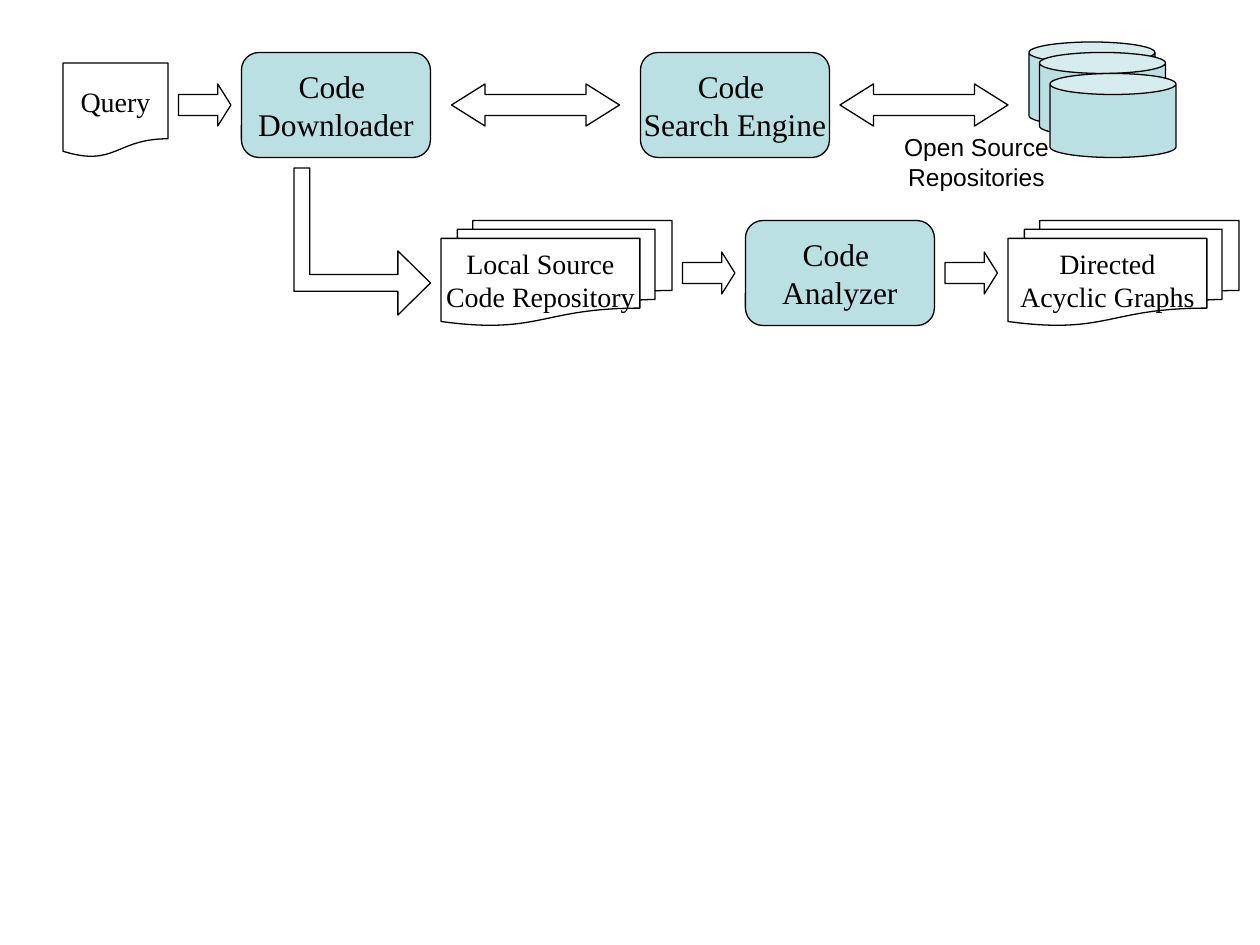
"""Draw the code search flow, from query to directed acyclic graphs."""
from dataclasses import dataclass

import pptx
import pptx.dml.color
import pptx.enum.shapes
import pptx.enum.text
import pptx.shapes.autoshape
import pptx.slide
import pptx.util

Kind = pptx.enum.shapes.MSO_SHAPE
Align = pptx.enum.text.PP_ALIGN
Anchor = pptx.enum.text.MSO_ANCHOR


@dataclass(frozen=True)
class Theme:
    teal: str = "BBE0E3"
    white: str = "FFFFFF"
    black: str = "000000"
    serif: str = "Times New Roman"
    sans: str = "Arial"
    large: int = 18
    mid: int = 16
    small: int = 14
    line: float = 0.75


@dataclass(frozen=True)
class Node:
    kind: Kind
    left: float
    top: float
    width: float
    height: float
    fill: str
    text: str = ""
    size: int = 0
    bend: tuple[float, ...] = ()


THEME = Theme()


def grid(count: float) -> pptx.util.Length:
    return pptx.util.Cm(2.54 / 12 * count)


def color(code: str) -> pptx.dml.color.RGBColor:
    return pptx.dml.color.RGBColor.from_string(code)


def paint(shape: pptx.shapes.autoshape.Shape, fill: str) -> None:
    shape.shadow.inherit = False
    shape.fill.solid()
    shape.fill.fore_color.rgb = color(fill)
    shape.line.color.rgb = color(THEME.black)
    shape.line.width = pptx.util.Pt(THEME.line)


def write(shape: pptx.shapes.autoshape.Shape, text: str, size: int,
          face: str, wrap: bool) -> None:
    frame = shape.text_frame
    frame.text = text
    frame.word_wrap = wrap
    for para in frame.paragraphs:
        para.alignment = Align.CENTER
        for run in para.runs:
            run.font.name = face
            run.font.size = pptx.util.Pt(size)
            run.font.color.rgb = color(THEME.black)


def draw(slide: pptx.slide.Slide, node: Node) -> None:
    shape = slide.shapes.add_shape(
        node.kind, grid(node.left), grid(node.top), grid(node.width), grid(node.height))
    for index, value in enumerate(node.bend):
        shape.adjustments[index] = value
    paint(shape, node.fill)
    if node.text:
        write(shape, node.text, node.size, THEME.serif, False)
        shape.text_frame.vertical_anchor = Anchor.MIDDLE


def label(slide: pptx.slide.Slide) -> None:
    box = slide.shapes.add_textbox(grid(80), grid(12), grid(26), grid(6.8))
    write(box, "Open Source Repositories", THEME.small, THEME.sans, True)


def elbow(slide: pptx.slide.Slide) -> None:
    start, *rest = [
        (29.5, 16), (29.5, 26.15), (37.9, 26.15), (37.9, 23.9), (41, 26.95),
        (37.9, 30), (37.9, 27.75), (28, 27.75), (28, 16)]
    pen = slide.shapes.build_freeform(*map(grid, start), scale=1.0)
    pen.add_line_segments([(grid(x), grid(y)) for x, y in rest], close=True)
    paint(pen.convert_to_shape(), THEME.white)


def step(left: float, top: float, text: str) -> Node:
    return Node(Kind.ROUNDED_RECTANGLE, left, top, 18, 10, THEME.teal,
                text, THEME.large, (0.167,))


def stack(left: float, text: str) -> Node:
    return Node(Kind.FLOWCHART_MULTIDOCUMENT, left, 21, 22, 10, THEME.white,
                text, THEME.mid)


def arrow(left: float, top: float) -> Node:
    return Node(Kind.RIGHT_ARROW, left, top, 5, 4, THEME.white, bend=(0.5, 0.313))


def swap(left: float) -> Node:
    return Node(Kind.LEFT_RIGHT_ARROW, left, 8, 16, 4, THEME.white, bend=(0.5, 0.796))


def can(left: float, top: float) -> Node:
    return Node(Kind.CAN, left, top, 12, 8, THEME.teal, bend=(0.25,))


def main() -> None:
    deck = pptx.Presentation()
    deck.slide_width, deck.slide_height = pptx.util.Cm(25.4), pptx.util.Cm(19.05)
    slide = deck.slides.add_slide(deck.slide_layouts[6])
    nodes = [
        Node(Kind.FLOWCHART_DOCUMENT, 6, 6, 10, 9, THEME.white, "Query", THEME.mid),
        arrow(17, 8),
        step(23, 5, "Code \nDownloader"),
        swap(43),
        step(61, 5, "Code \nSearch Engine"),
        swap(80),
        can(98, 4), can(99, 5), can(100, 7),
        stack(42, "Local Source\nCode Repository"),
        arrow(65, 24),
        step(71, 21, "Code \nAnalyzer"),
        arrow(90, 24),
        stack(96, "Directed\nAcyclic Graphs"),
    ]
    for node in nodes:
        draw(slide, node)
    label(slide)
    elbow(slide)
    deck.save("out.pptx")


if __name__ == "__main__":
    main()
